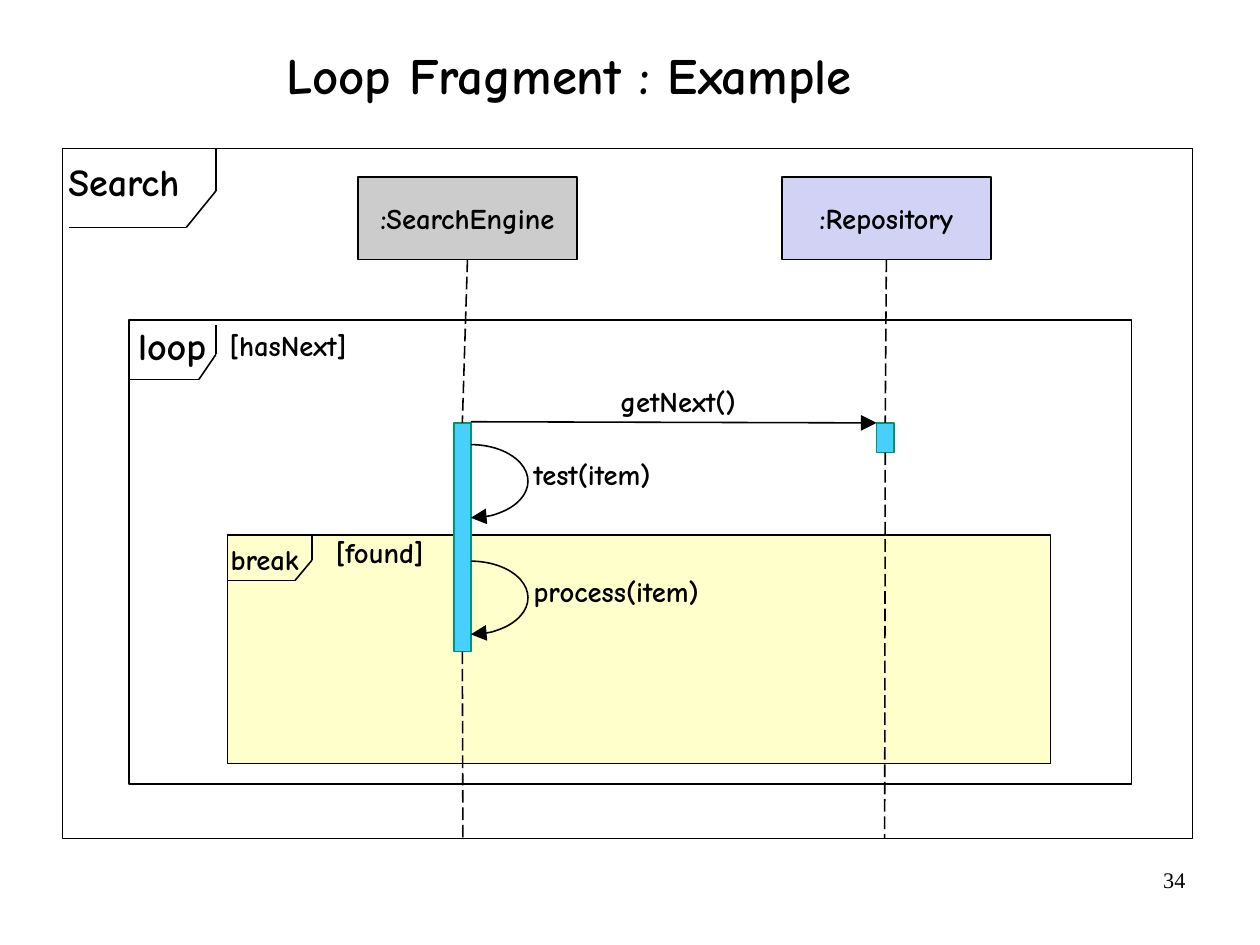
from lxml import etree
from pptx import Presentation
from pptx.dml.color import RGBColor
from pptx.enum.dml import MSO_LINE
from pptx.enum.shapes import MSO_CONNECTOR, MSO_SHAPE
from pptx.enum.text import MSO_ANCHOR, PP_ALIGN
from pptx.oxml.ns import qn
from pptx.util import Inches, Pt

BLACK = RGBColor(0x00, 0x00, 0x00)
GRAY = RGBColor(0xCC, 0xCC, 0xCC)
LAVENDER = RGBColor(0xD2, 0xD2, 0xF4)
YELLOW = RGBColor(0xFF, 0xFF, 0xCC)
CYAN = RGBColor(0x47, 0xCF, 0xFF)
GREEN = RGBColor(0x00, 0x95, 0x6F)

FONT = "Comic Neue"
NUMBER_FONT = "Times New Roman"
LEFT, CENTER, RIGHT = PP_ALIGN.LEFT, PP_ALIGN.CENTER, PP_ALIGN.RIGHT
TOP, MIDDLE = MSO_ANCHOR.TOP, MSO_ANCHOR.MIDDLE
RECT, ARC = MSO_SHAPE.RECTANGLE, MSO_SHAPE.ARC
STRAIGHT = MSO_CONNECTOR.STRAIGHT
LONG_DASH = MSO_LINE.LONG_DASH
TOP_SIDE, BOTTOM_SIDE = 0, 2
CM_PER_INCH = 2.54
LIFELINE_END = 7.34


def write(shape, text, size=18, align=LEFT, anchor=TOP, name=FONT, bold=True):
    tf = shape.text_frame
    tf.word_wrap = True
    tf.vertical_anchor = anchor
    p = tf.paragraphs[0]
    p.alignment = align
    r = p.add_run()
    r.text = text
    r.font.color.rgb = BLACK
    for key, value in {"size": Pt(size), "name": name, "bold": bold}.items():
        setattr(r.font, key, value)
    return p


def add_label(s, text, x, y, w, h=0.4, **style):
    box = s.shapes.add_textbox(Inches(x), Inches(y), Inches(w), Inches(h))
    return write(box, text, **style)


def add_outline(s, kind, x, y, w, h, fill=None, line=BLACK, width=1):
    shape = s.shapes.add_shape(kind, Inches(x), Inches(y), Inches(w), Inches(h))
    shape.shadow.inherit = False
    if fill is None:
        shape.fill.background()
    else:
        shape.fill.solid()
        shape.fill.fore_color.rgb = fill
    shape.line.color.rgb = line
    shape.line.width = Pt(width)
    return shape


def add_arrowhead(shape):
    ln = shape.line._get_or_add_ln()
    etree.SubElement(ln, qn("a:tailEnd"), type="triangle", w="lg", len="lg")


def add_line(s, x1, y1, x2, y2):
    line = s.shapes.add_connector(STRAIGHT, Inches(x1), Inches(y1), Inches(x2), Inches(y2))
    line.line.color.rgb = BLACK
    line.line.width = Pt(1)
    etree.SubElement(line._element.spPr, qn("a:effectLst"))
    return line


def add_tab(s, points):
    """Draw the cut-corner name tab of a fragment through the points."""
    for start, end in zip(points, points[1:]):
        add_line(s, *start, *end)


def add_participant(s, text, x, w, fill):
    head = add_outline(s, RECT, x, 1.55, w, 0.72, fill)
    write(head, text, align=CENTER, anchor=MIDDLE)
    return head


def add_lifeline(s, head, activation, x):
    """Run dashes from the head to the activation and on to the frame's edge."""
    upper = add_line(s, x, 2.27, x, 3.7)
    upper.begin_connect(head, BOTTOM_SIDE)
    upper.end_connect(activation, TOP_SIDE)
    lower = add_line(s, x, 5.7, x, LIFELINE_END)
    lower.begin_connect(activation, BOTTOM_SIDE)
    for line in (upper, lower):
        line.line.dash_style = LONG_DASH


def add_self_call(s, text, y):
    """Draw a right half-ellipse that returns to the same activation."""
    arc = add_outline(s, ARC, 3.62, y, 1, 0.64)
    arc.adjustments[0] = 162  # 270 degrees, in units of 100000/60000 degree
    arc.adjustments[1] = 54  # 90 degrees
    add_arrowhead(arc)
    add_label(s, text, 4.57, y + 0.06, 2.03)


def main():
    prs = Presentation()
    prs.slide_width = Inches(28 / CM_PER_INCH)
    prs.slide_height = Inches(21 / CM_PER_INCH)
    s = prs.slides.add_slide(prs.slide_layouts[6])

    title = add_label(s, "Loop Fragment : Example", 0.02, 0.16, 9.92, 1.05,
                      size=32, align=CENTER, anchor=MIDDLE)
    title.line_spacing = 0.88
    add_label(s, "34", 7.9, 7.53, 2.57, 0.57, size=14, align=RIGHT,
              name=NUMBER_FONT, bold=False)

    # Fragments
    add_outline(s, RECT, 1.99, 4.68, 7.2, 2, YELLOW)
    add_outline(s, RECT, 1.13, 2.8, 8.77, 4.06)
    add_outline(s, RECT, 0.55, 1.3, 9.88, 6.04, width=0.75)
    add_tab(s, [(0.6, 1.99), (1.63, 1.99), (1.89, 1.67), (1.89, 1.3)])
    add_tab(s, [(1.13, 3.32), (1.74, 3.32), (1.89, 3.1), (1.89, 2.84)])
    add_tab(s, [(1.99, 5.08), (2.58, 5.08), (2.73, 4.9), (2.73, 4.69)])
    add_label(s, "Search", 0.5, 1.34, 1.42, 0.5, size=24)
    add_label(s, "loop", 1.11, 2.77, 0.84, 0.5, size=24)
    add_label(s, "break", 1.92, 4.69, 1)
    add_label(s, "[hasNext]", 1.91, 2.82, 1.56)
    add_label(s, "[found]", 2.84, 4.63, 1.06)

    # Participants
    engine = add_participant(s, ":SearchEngine", 3.13, 1.92, GRAY)
    repository = add_participant(s, ":Repository", 6.84, 1.83, LAVENDER)
    searching = add_outline(s, RECT, 3.97, 3.7, 0.15, 2, CYAN, GREEN)
    fetching = add_outline(s, RECT, 7.67, 3.7, 0.15, 0.26, CYAN, GREEN)
    add_lifeline(s, engine, searching, 4.05)
    add_lifeline(s, repository, fetching, 7.74)

    # Messages
    add_arrowhead(add_line(s, 4.12, 3.69, 7.67, 3.7))
    add_label(s, "getNext()", 5.33, 3.31, 1.49)
    add_self_call(s, "test(item)", 3.89)
    add_self_call(s, "process(item)", 4.91)

    prs.save("out.pptx")


if __name__ == "__main__":
    main()
